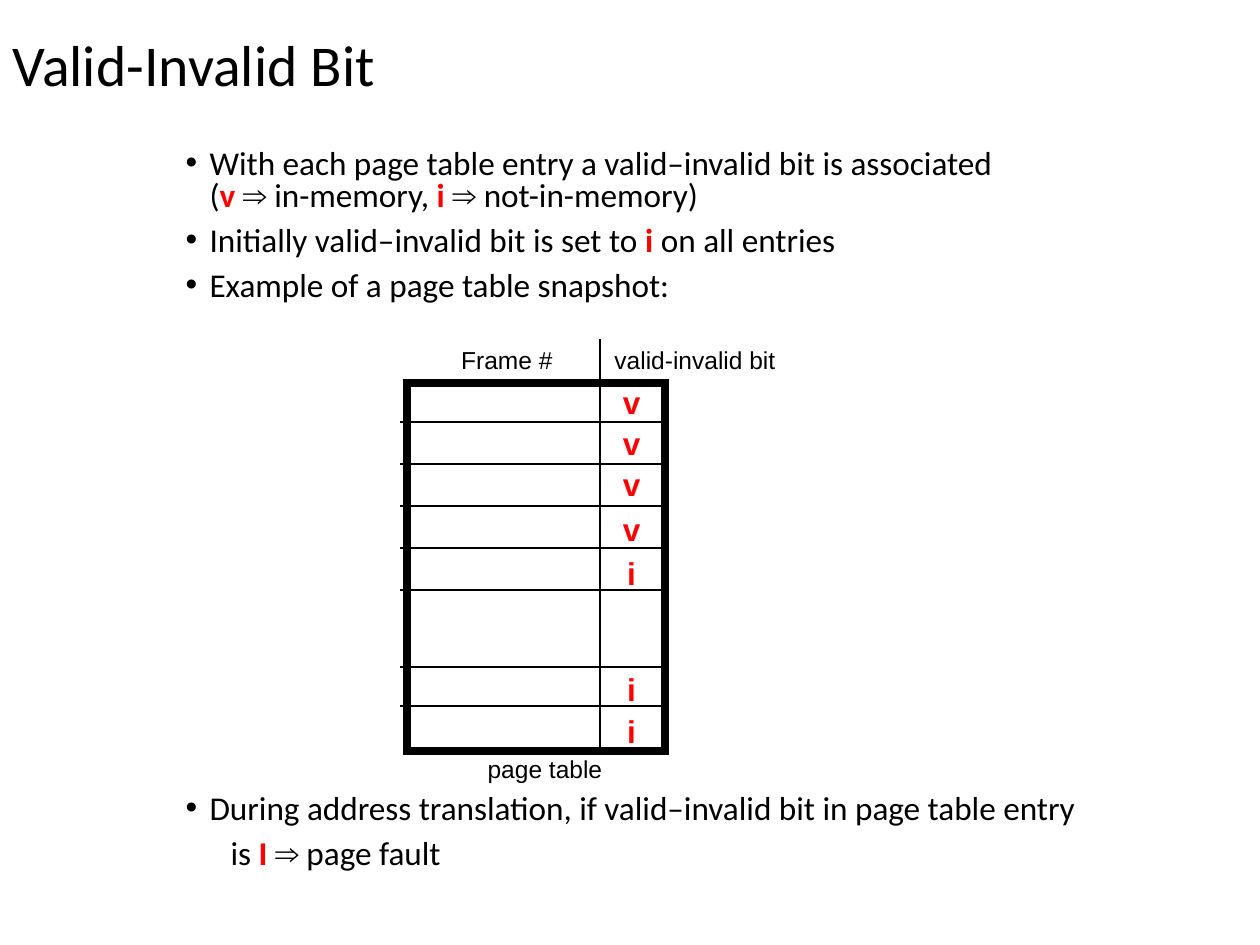
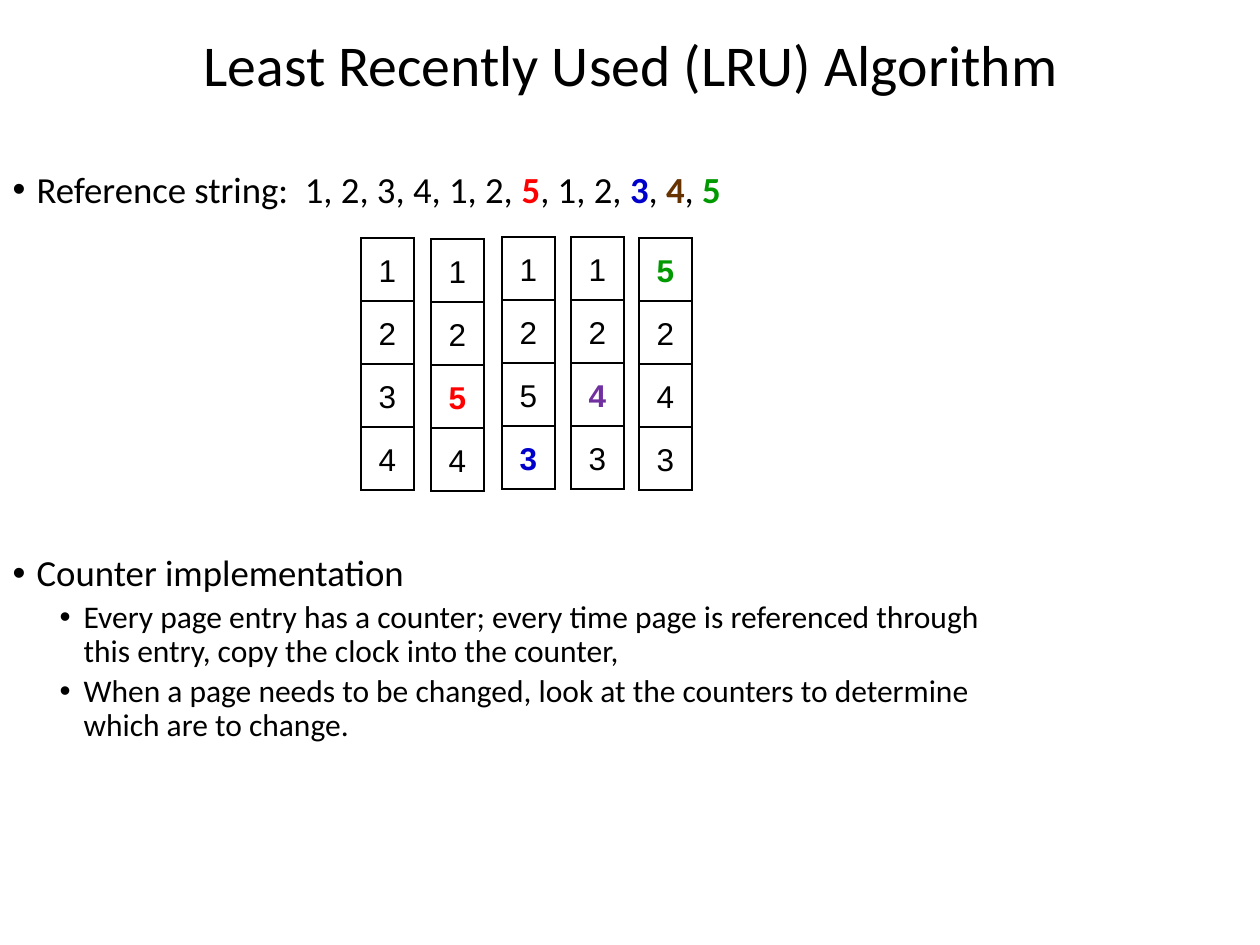
from lxml import etree
from pptx import Presentation
from pptx.dml.color import RGBColor
from pptx.enum.shapes import MSO_CONNECTOR, MSO_SHAPE
from pptx.enum.text import MSO_ANCHOR, MSO_AUTO_SIZE, PP_ALIGN
from pptx.oxml.ns import qn
from pptx.util import Emu, Pt

RECTANGLE = MSO_SHAPE.RECTANGLE
STRAIGHT = MSO_CONNECTOR.STRAIGHT
TOP, MIDDLE = MSO_ANCHOR.TOP, MSO_ANCHOR.MIDDLE
LEFT, CENTER = PP_ALIGN.LEFT, PP_ALIGN.CENTER
NO_AUTOFIT = MSO_AUTO_SIZE.NONE

BLACK = RGBColor(0x00, 0x00, 0x00)
WHITE = RGBColor(0xFF, 0xFF, 0xFF)
RED = RGBColor(0xFF, 0x00, 0x00)
BLUE = RGBColor(0x00, 0x00, 0xCC)
BROWN = RGBColor(0x66, 0x33, 0x00)
GREEN = RGBColor(0x00, 0x99, 0x00)
PURPLE = RGBColor(0x70, 0x30, 0xA0)

TEXT_FONT, FIGURE_FONT = "Calibri", "Arial"
PX_PER_INCH = 126
HANGING = 24
TITLE_AND_CONTENT = 1
BREAK = "\n"
IMPLIES = "⇒"


def px(length):
    return Emu(round(length * 914400 / PX_PER_INCH))


def box(*lengths):
    return [px(length) for length in lengths]


class Deck:
    def __init__(self):
        self.presentation = Presentation()
        self.presentation.slide_width = px(1260)
        self.presentation.slide_height = px(945)
        self.slide = None

    def add_slide(self, title, title_left):
        layout = self.presentation.slide_layouts[TITLE_AND_CONTENT]
        self.slide = self.presentation.slides.add_slide(layout)
        heading = self.slide.shapes.title
        self.place(heading, title_left, 28, 1260 - title_left, 79)
        frame = heading.text_frame
        frame.text = title
        frame.vertical_anchor = MIDDLE
        frame.auto_size = NO_AUTOFIT
        paragraph = frame.paragraphs[0]
        paragraph.alignment = LEFT
        paragraph.line_spacing = 0.9
        self.style(paragraph.runs[0], 33, TEXT_FONT)

    def place(self, shape, *bounds):
        shape.left, shape.top, shape.width, shape.height = box(*bounds)

    def style(self, run, size, font, color=BLACK, bold=False):
        run.font.size = Pt(size)
        run.font.name = font
        run.font.color.rgb = color
        run.font.bold = bold

    def body(self, *bounds):
        placeholder = self.slide.placeholders[1]
        self.place(placeholder, *bounds)
        frame = placeholder.text_frame
        frame.vertical_anchor = TOP
        frame.auto_size = NO_AUTOFIT
        return frame

    def item(self, frame, pieces, size, spacing, before=7.5, level=0,
             indent=HANGING, bullet=True):
        """Adds a list paragraph; a piece is plain text or (bold text, colour)."""
        paragraph = frame.paragraphs[0]
        if paragraph.runs:
            paragraph = frame.add_paragraph()
        paragraph.level = level
        paragraph.alignment = LEFT
        paragraph.line_spacing = spacing
        paragraph.space_before = Pt(before)
        for piece in pieces:
            if piece == BREAK:
                paragraph.add_line_break()
                continue
            bold = isinstance(piece, tuple)
            text, color = piece if bold else (piece, BLACK)
            run = paragraph.add_run()
            run.text = text
            font = FIGURE_FONT if text == IMPLIES else TEXT_FONT
            self.style(run, size, font, color, bold)
        properties = paragraph._p.get_or_add_pPr()
        properties.set("marL", str(px(indent)))
        properties.set("indent", str(px(-HANGING) if bullet else 0))
        if bullet:
            etree.SubElement(properties, qn("a:buFont"), typeface=FIGURE_FONT)
            etree.SubElement(properties, qn("a:buChar"), char="•")
        else:
            etree.SubElement(properties, qn("a:buNone"))

    def caption(self, shape, text, size, color=BLACK, bold=False):
        frame = shape.text_frame
        frame.text = text
        frame.word_wrap = False
        frame.vertical_anchor = MIDDLE
        paragraph = frame.paragraphs[0]
        paragraph.alignment = CENTER
        self.style(paragraph.runs[0], size, FIGURE_FONT, color, bold)

    def label(self, text, bounds, size, color=BLACK, bold=False):
        shape = self.slide.shapes.add_textbox(*box(*bounds))
        self.caption(shape, text, size, color, bold)

    def rectangle(self, *bounds, line_width=0.75):
        shape = self.slide.shapes.add_shape(RECTANGLE, *box(*bounds))
        shape.shadow.inherit = False
        shape.fill.solid()
        shape.fill.fore_color.rgb = WHITE
        shape.line.color.rgb = BLACK
        shape.line.width = Pt(line_width)
        outline = shape._element.spPr.find(qn("a:ln"))
        etree.SubElement(outline, qn("a:miter"), lim="800000")
        return shape

    def rule(self, *ends):
        connector = self.slide.shapes.add_connector(STRAIGHT, *box(*ends))
        connector.line.color.rgb = BLACK
        connector.line.width = Pt(0.75)
        etree.SubElement(connector._element.spPr, qn("a:effectLst"))


def valid_invalid_slide(deck):
    deck.add_slide("Valid-Invalid Bit", 0)
    points = deck.body(173, 144, 1087, 775)
    style = {"size": 19, "spacing": 0.8}
    deck.item(points, ["With each page table entry a valid–invalid bit is associated",
                       BREAK, "(", ("v ", RED), IMPLIES, " in-memory, ",
                       ("i ", RED), IMPLIES, " not-in-memory)"], **style)
    deck.item(points, ["Initially valid–invalid bit is set to", (" i ", RED),
                       "on all entries"], **style)
    deck.item(points, ["Example of a page table snapshot:"], **style)
    deck.item(points, ["During address translation, if valid–invalid bit in "
                       "page table entry"], before=280.5, **style)
    deck.item(points, ["is", (" I ", RED), IMPLIES, " page fault"],
              indent=45, bullet=False, **style)

    deck.rectangle(407, 383, 258, 368, line_width=4.5)
    even_rows = [422 + 42 * row for row in range(5)]
    for y in even_rows + [667, 706]:
        deck.rule(400, y, 663, y)
    deck.rule(600, 339, 600, 748)
    bit_tops = [377, 418, 459, 504, 548, 664, 706]
    for bit, top in zip("vvvviii", bit_tops):
        deck.label(bit, (610, top, 43, 50), 18, RED, True)
    deck.label("Frame #", (437, 338, 140, 43), 14)
    deck.label("valid-invalid bit", (602, 338, 186, 43), 14)
    deck.label("page table", (475, 747, 140, 43), 14)


def lru_slide(deck):
    deck.add_slide("Least Recently Used (LRU) Algorithm", 191)
    points = deck.body(0, 165, 1013, 617)
    deck.item(points, ["Reference string:  1, 2, 3, 4, 1, 2, ", ("5", RED),
                       ", 1, 2, ", ("3", BLUE), ", ", ("4", BROWN), ", ",
                       ("5", GREEN)], 21, 0.9)
    deck.item(points, ["Counter implementation"], 21, 0.9, before=196.5)
    for detail in (
        "Every page entry has a counter; every time page is referenced "
        "through this entry, copy the clock into the counter,",
        "When a page needs to be changed, look at the counters to "
        "determine which are to change.",
    ):
        deck.item(points, [detail], 18, 0.9, before=3.7, level=1, indent=71)

    # left, top, pages in the frames, page just loaded, its colour
    snapshots = [
        (361, 238, "1234", None, BLACK),
        (431, 239, "1254", "5", RED),
        (502, 237, "1253", "3", BLUE),
        (571, 237, "1243", "4", PURPLE),
        (639, 238, "5243", "5", GREEN),
    ]
    for left, top, pages, loaded, color in snapshots:
        for row, page in enumerate(pages):
            frame = deck.rectangle(left, top + 63 * row, 53, 63)
            is_new = page == loaded
            deck.caption(frame, page, 18, color if is_new else BLACK, is_new)


def main():
    deck = Deck()
    valid_invalid_slide(deck)
    lru_slide(deck)
    deck.presentation.save("out.pptx")


if __name__ == "__main__":
    main()
